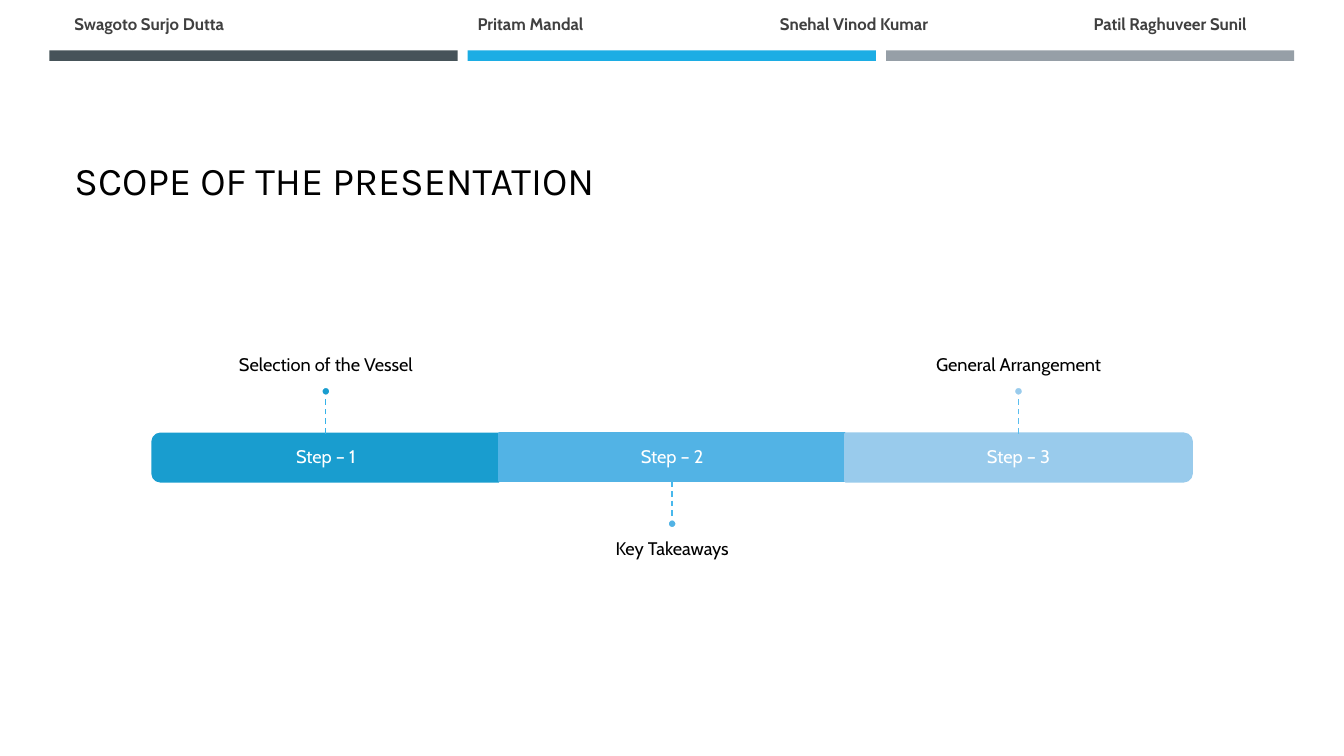
from lxml import etree
from pptx import Presentation
from pptx.dml.color import RGBColor
from pptx.enum.dml import MSO_LINE
from pptx.enum.shapes import MSO_CONNECTOR, MSO_SHAPE
from pptx.enum.text import MSO_ANCHOR, PP_ALIGN
from pptx.oxml.ns import qn
from pptx.util import Pt

RECT, OVAL = MSO_SHAPE.RECTANGLE, MSO_SHAPE.OVAL
ROUND_END = MSO_SHAPE.ROUND_2_SAME_RECTANGLE
STRAIGHT, DASH = MSO_CONNECTOR.STRAIGHT, MSO_LINE.DASH
TOP, MIDDLE, BOTTOM = MSO_ANCHOR.TOP, MSO_ANCHOR.MIDDLE, MSO_ANCHOR.BOTTOM
CENTER, JUSTIFY = PP_ALIGN.CENTER, PP_ALIGN.JUSTIFY
BOTTOM_SITE = 2

COLORS = {
    "text": "000000", "names": "404040", "white": "FFFFFF",
    "slate": "465359", "blue": "1CADE4", "gray": "969FA7",
    "step1": "199DCF", "step2": "52B3E5", "step3": "99CBEC",
    "stem1": "36B3E9", "stem2": "48B8EC", "stem3": "5ABEEF",
}
AUTHORS = ["Swagoto Surjo Dutta", "Pritam Mandal",
           "Snehal Vinod Kumar", "Patil Raghuveer Sunil"]
AUTHOR_TABS = [288, 504, 728]
# step, topic, topic below the bar, outline, rotation
STEPS = [
    ("Step – 1", "Selection of the Vessel", False, ROUND_END, 270),
    ("Step – 2", "Key Takeaways", True, RECT, 0),
    ("Step – 3", "General Arrangement", False, ROUND_END, 90),
]


def rgb(name):
    return RGBColor.from_string(COLORS[name])


def style_font(paragraph, size, color, face="Cabin", bold=None):
    font = paragraph.font
    font.name, font.size, font.bold = face, Pt(size), bold
    font.color.rgb = rgb(color)


def add_filled(slide, outline, left, top, width, height, fill, line=None):
    shape = slide.shapes.add_shape(outline, Pt(left), Pt(top), Pt(width), Pt(height))
    shape.shadow.inherit = False
    shape.fill.solid()
    shape.fill.fore_color.rgb = rgb(fill)
    if line:
        shape.line.color.rgb = rgb(line)
        shape.line.width = Pt(1.75)
    else:
        shape.line.fill.background()
    return shape


def add_label(slide, text, left, top, width, height, color, anchor, insets):
    """Centred text; insets run left, top, right, bottom."""
    frame = slide.shapes.add_textbox(Pt(left), Pt(top), Pt(width), Pt(height)).text_frame
    frame.word_wrap = True
    frame.vertical_anchor = anchor
    (frame.margin_left, frame.margin_top,
     frame.margin_right, frame.margin_bottom) = map(Pt, insets)
    paragraph = frame.paragraphs[0]
    paragraph.text = text
    paragraph.alignment = CENTER
    paragraph.line_spacing = 0.9
    style_font(paragraph, 13, color)


def add_header_bars(slide, left, top, width, height):
    gap = 7.2
    bar_width = (width - 2 * gap) / 3
    for i, color in enumerate(("slate", "blue", "gray")):
        add_filled(slide, RECT, left + i * (bar_width + gap), top, bar_width, height, color)


def add_authors(slide, left, top, width, height):
    frame = slide.shapes.add_textbox(Pt(left), Pt(top), Pt(width), Pt(height)).text_frame
    frame.word_wrap = True
    paragraph = frame.paragraphs[0]
    paragraph.text = "\t".join(AUTHORS)
    paragraph.alignment = JUSTIFY
    style_font(paragraph, 12, "names", bold=True)
    properties = paragraph.font._element.getparent()
    tabs = etree.Element(qn("a:tabLst"))
    for position in AUTHOR_TABS:
        etree.SubElement(tabs, qn("a:tab"), pos=str(Pt(position)), algn="l")
    properties.insert(0, tabs)


def place_title(slide, left, top, width, height):
    title = slide.shapes.title
    title.left, title.top, title.width, title.height = map(Pt, (left, top, width, height))
    title.text_frame.vertical_anchor = BOTTOM
    paragraph = title.text_frame.paragraphs[0]
    paragraph.text = "SCOPE OF THE PRESENTATION"
    paragraph.alignment = PP_ALIGN.LEFT
    style_font(paragraph, 28, "text", "Karla")


def add_stem(slide, center, start, end, color, segment=None):
    """Dashed line away from the bar, joined to segment when one is given."""
    stem = slide.shapes.add_connector(STRAIGHT, Pt(center), Pt(start), Pt(center), Pt(end))
    if segment:
        stem.begin_connect(segment, BOTTOM_SITE)
    stem.line.color.rgb = rgb(color)
    stem.line.width = Pt(1)
    stem.line.dash_style = DASH
    etree.SubElement(stem._element.spPr, qn("a:effectLst"))


def add_timeline(slide, left, top, width, height):
    step_width = width / len(STEPS)
    stem_length, dot = 27, 6.6
    topic_width, topic_height, inset = 412.6, 118.8, 7.9
    for i, (step, topic, below, outline, rotation) in enumerate(STEPS):
        color, stem_color = f"step{i + 1}", f"stem{i + 1}"
        step_left = left + i * step_width
        center = step_left + step_width / 2
        # A quarter turn swaps width and height around the same centre
        w, h = (height, step_width) if rotation else (step_width, height)
        segment = add_filled(slide, outline, center - w / 2, top + (height - h) / 2,
                             w, h, color, color)
        segment.rotation = rotation
        add_label(slide, step, step_left, top, step_width, height, "white", MIDDLE,
                  [inset] * 4)

        if below:
            stem_start = top + height
            stem_end = dot_top = stem_start + stem_length
            topic_top, anchor, insets = dot_top + dot, TOP, (0, inset, 0, 0)
        else:
            stem_start, stem_end = top, top - stem_length
            dot_top = stem_end - dot
            topic_top, anchor, insets = dot_top - topic_height, BOTTOM, (0, 0, 0, inset)
        add_stem(slide, center, stem_start, stem_end, stem_color, segment if below else None)
        add_filled(slide, OVAL, center - dot / 2, dot_top, dot, dot, color, "white")
        add_label(slide, topic, center - topic_width / 2, topic_top, topic_width,
                  topic_height, "text", anchor, insets)


def main():
    deck = Presentation()
    deck.slide_width, deck.slide_height = Pt(960), Pt(540)
    slide = deck.slides.add_slide(deck.slide_layouts[5])
    add_header_bars(slide, 35.3, 36, 889.2, 7.5)
    place_title(slide, 46, 55.5, 868.3, 93.6)
    add_timeline(slide, 109, 309.8, 742.2, 34)
    add_authors(slide, 46, 6.5, 865.4, 21.6)
    deck.save("out.pptx")


if __name__ == "__main__":
    main()
